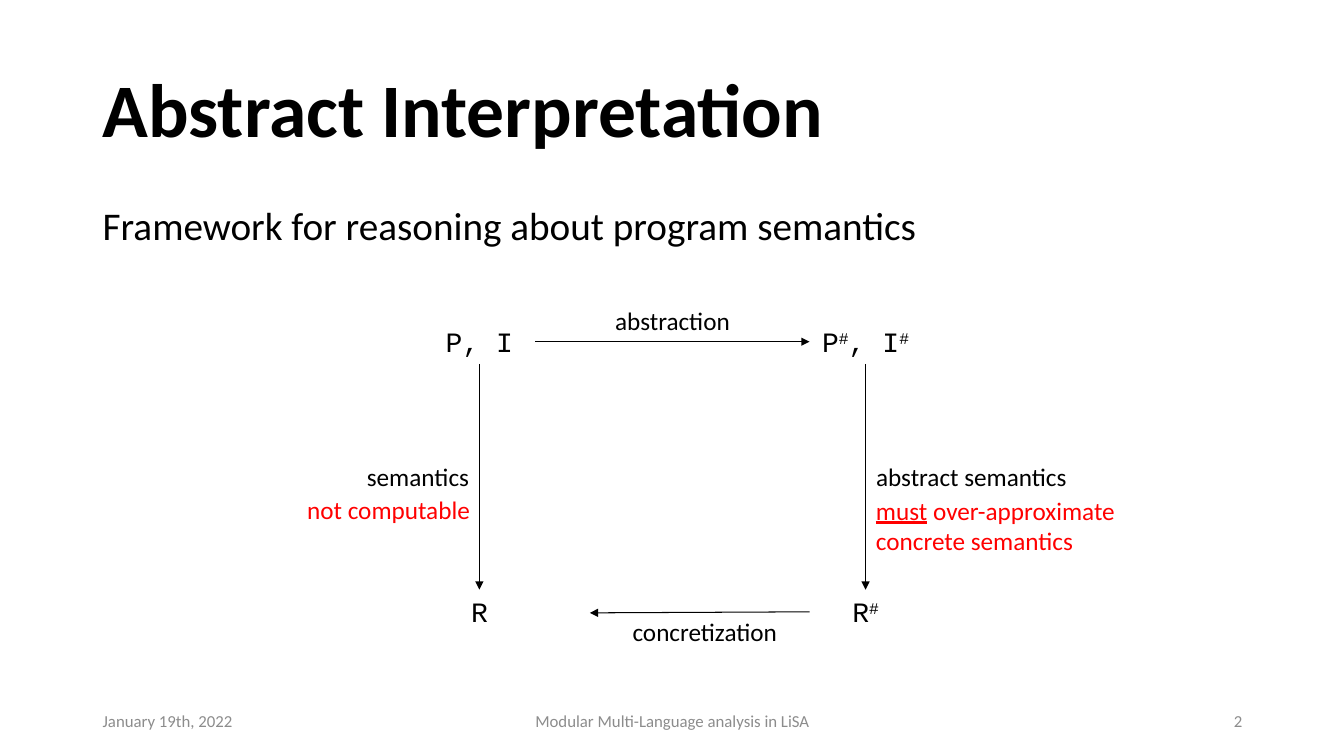
"""Build the Abstract Interpretation slide with its commuting diagram."""
import pptx
import pptx.dml.color
import pptx.enum.shapes
import pptx.enum.text
import pptx.oxml.ns
import pptx.util
from lxml import etree

Inches = pptx.util.Inches
Pt = pptx.util.Pt
ALIGN = pptx.enum.text.PP_ALIGN
ANCHOR = pptx.enum.text.MSO_ANCHOR
BLACK = pptx.dml.color.RGBColor(0x00, 0x00, 0x00)
RED = pptx.dml.color.RGBColor(0xFF, 0x00, 0x00)
GRAY = pptx.dml.color.RGBColor(0x8C, 0x8C, 0x8C)

TOP, LEFT, BOTTOM, RIGHT = range(4)
MARGIN, CONTENT_WIDTH = 0.92, 11.5
FOOTER_TOP, FOOTER_HEIGHT = 6.95, 0.4
NODE_WIDTH, NODE_HEIGHT = 1.11, 0.44
COLUMNS = {"concrete": 4.2, "abstract": 8.03}
ROWS = {"program": 3.17, "result": 5.85}
CONCRETIZATION_END = (5.85, 6.08)

STYLES = {
    "title": {"name": "Calibri", "size": Pt(54), "bold": True},
    "body": {"name": "Calibri", "size": Pt(28)},
    "node": {"name": "Courier New", "size": Pt(20)},
    "label": {"name": "Calibri", "size": Pt(18)},
    "warning": {"name": "Calibri", "size": Pt(18)},
    "footer": {"name": "Calibri", "size": Pt(12)},
}
COLORS = {"warning": RED, "footer": GRAY}
ANCHORS = {"title": ANCHOR.MIDDLE, "footer": ANCHOR.MIDDLE}
LINE_SPACING = {"title": 0.9, "body": 0.9}

NODES = {
    ("concrete", "program"): ["P, I"],
    ("concrete", "result"): ["R"],
    ("abstract", "program"): ["P", "#", ", I", "#"],
    ("abstract", "result"): ["R", "#"],
}
ARROWS = [
    (("concrete", "program"), BOTTOM, ("concrete", "result"), TOP),
    (("abstract", "program"), BOTTOM, ("abstract", "result"), TOP),
    (("concrete", "program"), RIGHT, ("abstract", "program"), LEFT),
    (("abstract", "result"), LEFT, None, None),
]
TEXTS = [
    ("title", (MARGIN, 0.4, CONTENT_WIDTH, 1.45), ALIGN.LEFT, ["Abstract Interpretation"]),
    ("body", (MARGIN, 2, CONTENT_WIDTH, 0.7), ALIGN.LEFT,
     ["Framework for reasoning about program semantics"]),
    ("label", (3.24, 4.53, 1.51, 0.4), ALIGN.RIGHT, ["semantics"]),
    ("label", (8.59, 4.53, 2.15, 0.4), ALIGN.LEFT, ["abstract semantics"]),
    ("label", (5.94, 2.98, 1.46, 0.4), ALIGN.CENTER, ["abstraction"]),
    ("label", (6.15, 6.07, 1.68, 0.4), ALIGN.CENTER, ["concretization"]),
    ("warning", (2.81, 4.86, 1.95, 0.4), ALIGN.RIGHT, ["not computable"]),
    ("warning", (8.59, 4.86, 2.66, 0.71), ALIGN.LEFT,
     ["must", " over-approximate concrete semantics"]),
]
FOOTERS = [
    (MARGIN, 3, ALIGN.LEFT, "January 19th, 2022"),
    (4.42, 4.5, ALIGN.CENTER, "Modular Multi-Language analysis in LiSA"),
    (9.42, 3, ALIGN.RIGHT, "2"),
]


def add_text(slide, style, box, alignment, pieces):
    shape = slide.shapes.add_textbox(*map(Inches, box))
    frame = shape.text_frame
    frame.word_wrap = True
    frame.vertical_anchor = ANCHORS.get(style, ANCHOR.TOP)
    paragraph = frame.paragraphs[0]
    paragraph.alignment = alignment
    paragraph.line_spacing = LINE_SPACING.get(style, 1.0)
    for piece in pieces:
        run = paragraph.add_run()
        run.text = piece
        for attribute, value in STYLES[style].items():
            setattr(run.font, attribute, value)
        run.font.color.rgb = COLORS.get(style, BLACK)
        if piece == "#":
            run._r.get_or_add_rPr().set("baseline", "30000")
        if piece == "must":
            run.font.underline = True
    return shape


def add_arrow(slide, start, start_side, end, end_side):
    connector = slide.shapes.add_connector(
        pptx.enum.shapes.MSO_CONNECTOR.STRAIGHT, 0, 0, *map(Inches, CONCRETIZATION_END))
    connector.begin_connect(start, start_side)
    if end is not None:
        connector.end_connect(end, end_side)
    connector.line.color.rgb = BLACK
    connector.line.width = Pt(0.75)
    tail = etree.SubElement(connector.line._get_or_add_ln(), pptx.oxml.ns.qn("a:tailEnd"))
    tail.set("type", "triangle")
    etree.SubElement(connector._element.spPr, pptx.oxml.ns.qn("a:effectLst"))


def main():
    presentation = pptx.Presentation()
    presentation.slide_width = Inches(13.33)
    presentation.slide_height = Inches(7.5)
    slide = presentation.slides.add_slide(presentation.slide_layouts[6])

    nodes = {}
    for (column, row), pieces in NODES.items():
        box = (COLUMNS[column], ROWS[row], NODE_WIDTH, NODE_HEIGHT)
        nodes[column, row] = add_text(slide, "node", box, ALIGN.CENTER, pieces)
    for start, start_side, end, end_side in ARROWS:
        add_arrow(slide, nodes[start], start_side, nodes.get(end), end_side)
    for style, box, alignment, pieces in TEXTS:
        add_text(slide, style, box, alignment, pieces)
    for left, width, alignment, text in FOOTERS:
        add_text(slide, "footer", (left, FOOTER_TOP, width, FOOTER_HEIGHT), alignment, [text])

    presentation.save("out.pptx")


if __name__ == "__main__":
    main()
